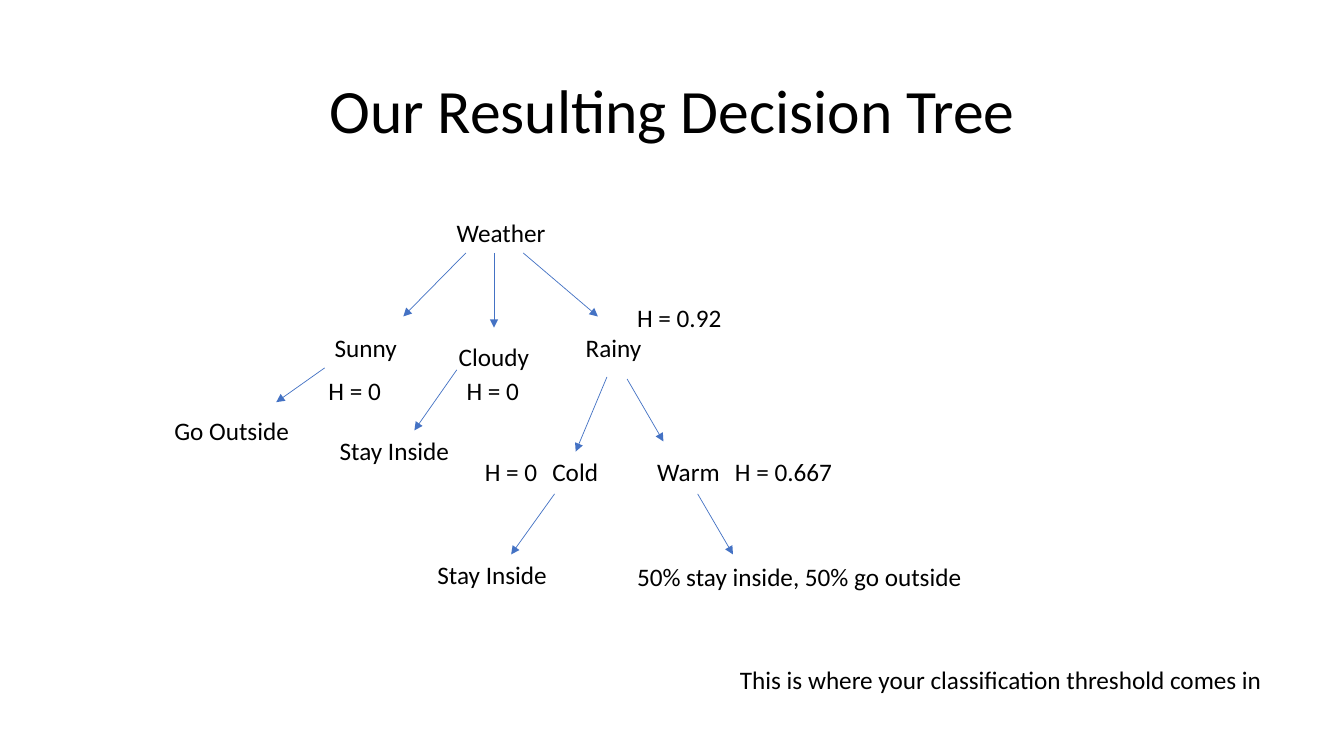
"""Build the decision tree slide."""
from dataclasses import dataclass

from lxml import etree
from pptx import Presentation
from pptx.dml.color import RGBColor
from pptx.enum.shapes import MSO_CONNECTOR
from pptx.enum.text import MSO_ANCHOR, MSO_AUTO_SIZE, PP_ALIGN
from pptx.oxml.ns import qn
from pptx.util import Inches, Pt

STRAIGHT = MSO_CONNECTOR.STRAIGHT
MIDDLE = MSO_ANCHOR.MIDDLE
CENTER = PP_ALIGN.CENTER
FIT_SHAPE = MSO_AUTO_SIZE.SHAPE_TO_FIT_TEXT
FIT_NONE = MSO_AUTO_SIZE.NONE
FONT = "Calibri"
BLACK = "000000"
BLUE = "4472C4"
LABEL_HEIGHT = 0.4


@dataclass
class Label:
    text: str
    left: float
    top: float
    width: float
    wrap: bool = False


@dataclass
class Arrow:
    x1: float
    y1: float
    x2: float
    y2: float


LABELS = [
    Label("Weather", 4.43, 2.11, 1.69, True),
    Label("Sunny", 3.22, 3.25, 1.09, True),
    Label("Cloudy", 4.45, 3.34, 1.09, True),
    Label("Rainy", 5.71, 3.25, 1.09, True),
    Label("H = 0", 3.16, 3.67, 0.73),
    Label("H = 0", 4.53, 3.67, 0.73),
    Label("H = 0.92", 6.22, 2.95, 1.05),
    Label("Go Outside", 1.63, 4.07, 1.35),
    Label("Stay Inside", 3.27, 4.27, 1.3),
    Label("H = 0", 4.71, 4.48, 0.73),
    Label("Cold", 5.38, 4.48, 0.66),
    Label("Warm", 6.42, 4.48, 0.83),
    Label("H = 0.667", 7.19, 4.48, 1.18),
    Label("Stay Inside", 4.24, 5.5, 1.3),
    Label("50% stay inside, 50% go outside", 6.22, 5.52, 3.46),
    Label("This is where your classification threshold comes in", 7.24, 6.54, 5.58, True),
]

ARROWS = [
    Arrow(4.62, 2.51, 4, 3.14),
    Arrow(4.9, 2.51, 4.9, 3.25),
    Arrow(5.19, 2.51, 5.93, 3.14),
    Arrow(3.22, 3.65, 2.74, 3.99),
    Arrow(4.53, 3.67, 4.11, 4.27),
    Arrow(6.02, 3.74, 5.71, 4.48),
    Arrow(6.22, 3.76, 6.58, 4.38),
    Arrow(5.5, 4.9, 5.07, 5.5),
    Arrow(6.92, 4.9, 7.27, 5.5),
]


def rgb(color: str) -> RGBColor:
    return RGBColor.from_string(color)


def format_runs(p, size: float) -> None:
    for r in p.runs:
        r.font.name = FONT
        r.font.size = Pt(size)
        r.font.color.rgb = rgb(BLACK)


def set_title(s, text: str) -> None:
    title = s.shapes.title
    title.left, title.top = Inches(0.92), Inches(0.4)
    title.width, title.height = Inches(11.5), Inches(1.45)
    tf = title.text_frame
    tf.text = text
    tf.auto_size = FIT_NONE
    tf.vertical_anchor = MIDDLE
    p = tf.paragraphs[0]
    p.alignment = CENTER
    p.line_spacing = 0.9
    format_runs(p, 44)


def add_label(s, label: Label) -> None:
    box = s.shapes.add_textbox(Inches(label.left), Inches(label.top),
                               Inches(label.width), Inches(LABEL_HEIGHT))
    tf = box.text_frame
    tf.text = label.text
    tf.word_wrap = label.wrap
    tf.auto_size = FIT_SHAPE
    format_runs(tf.paragraphs[0], 18)


def add_arrow(s, arrow: Arrow) -> None:
    line = s.shapes.add_connector(STRAIGHT, Inches(arrow.x1), Inches(arrow.y1),
                                  Inches(arrow.x2), Inches(arrow.y2))
    line.line.color.rgb = rgb(BLUE)
    line.line.width = Pt(0.5)
    etree.SubElement(line.line._get_or_add_ln(), qn("a:tailEnd"), type="triangle")
    etree.SubElement(line._element.spPr, qn("a:effectLst"))


def main() -> None:
    prs = Presentation()
    prs.slide_width, prs.slide_height = Inches(13.33), Inches(7.5)
    s = prs.slides.add_slide(prs.slide_layouts[5])
    set_title(s, "Our Resulting Decision Tree")
    for arrow in ARROWS:
        add_arrow(s, arrow)
    for label in LABELS:
        add_label(s, label)
    prs.save("out.pptx")


if __name__ == "__main__":
    main()
